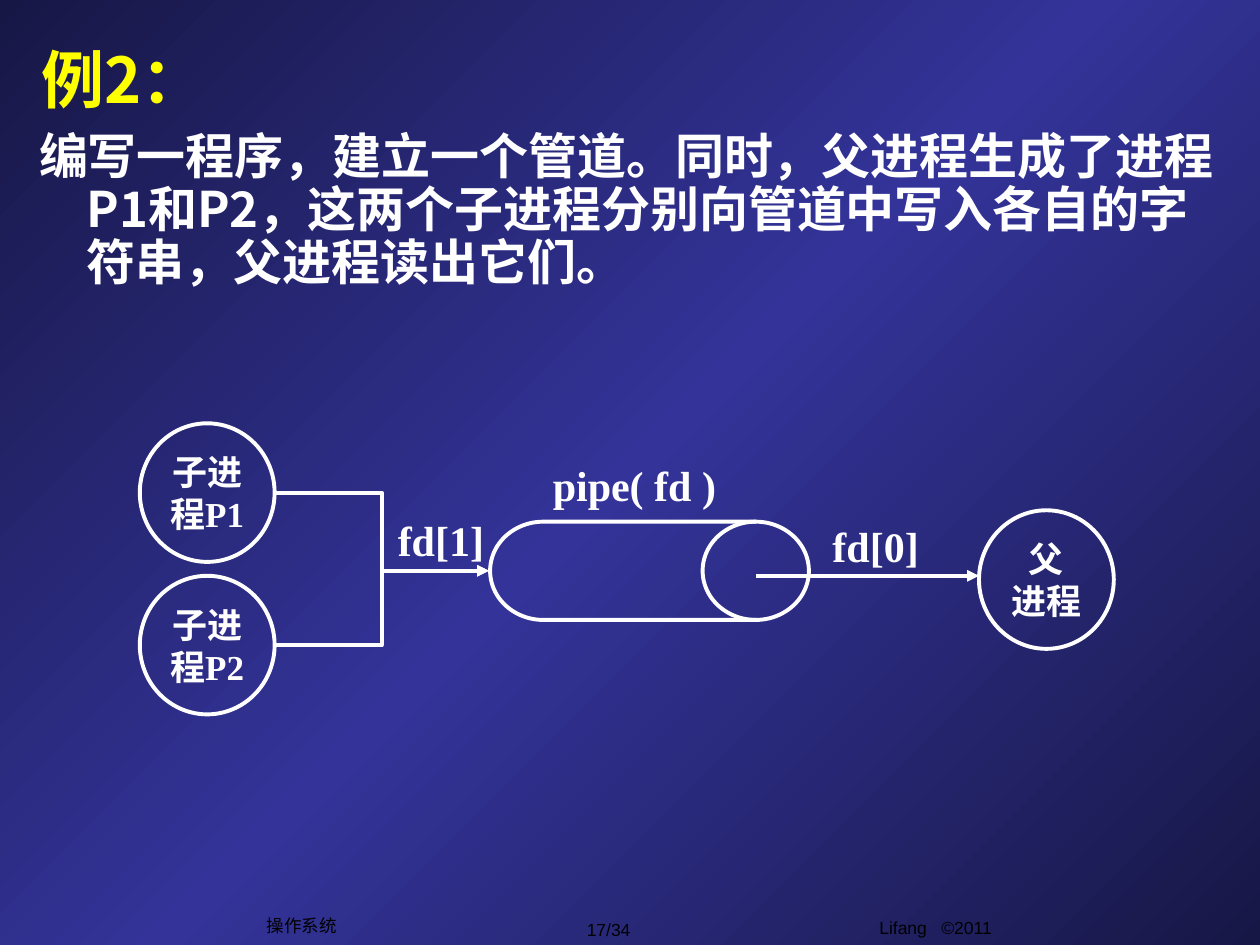
import copy
from dataclasses import dataclass

import lxml.etree
import pptx
import pptx.dml.color
import pptx.enum.shapes
import pptx.enum.text
import pptx.oxml.ns
import pptx.util

ALIGN = pptx.enum.text.PP_ALIGN
ANCHOR = pptx.enum.text.MSO_ANCHOR
SHAPE = pptx.enum.shapes.MSO_SHAPE
CONNECTOR = pptx.enum.shapes.MSO_CONNECTOR
qn = pptx.oxml.ns.qn


@dataclass(frozen=True)
class Theme:
    dark: str = "171746"
    blue: str = "333399"
    white: str = "FFFFFF"
    yellow: str = "FFFF00"
    black: str = "000000"
    chinese: str = "Noto Sans CJK SC"
    serif: str = "Times New Roman"
    sans: str = "Arial"
    title: int = 36
    body: int = 28
    label: int = 24
    node: int = 20
    footer: int = 10
    line: float = 2.25


THEME = Theme()
GRID_COLUMN = pptx.util.Inches(0.1)
GRID_ROW = pptx.util.Inches(0.1)
SLIDE_COLUMNS, SLIDE_ROWS = 100, 75


@dataclass(frozen=True)
class Box:
    left: float
    top: float
    width: float
    height: float

    def inner(self, column, row, columns, rows):
        return Box(self.left + column, self.top + row, columns, rows)

    def point(self, column, row):
        return int((self.left + column) * GRID_COLUMN), int((self.top + row) * GRID_ROW)

    def lengths(self):
        return (*self.point(0, 0), int(self.width * GRID_COLUMN), int(self.height * GRID_ROW))


def color(value):
    return pptx.dml.color.RGBColor.from_string(value)


def write_text(shape, text, size, font=THEME.serif, fill=THEME.white, bold=True,
               align=ALIGN.CENTER, anchor=ANCHOR.MIDDLE, wrap=False, spacing=1.0):
    frame = shape.text_frame
    frame.text = text
    frame.auto_size = pptx.enum.text.MSO_AUTO_SIZE.NONE
    frame.word_wrap = wrap
    frame.vertical_anchor = anchor
    frame.margin_left = frame.margin_right = pptx.util.Inches(0.1)
    frame.margin_top = frame.margin_bottom = pptx.util.Inches(0.05)
    for paragraph in frame.paragraphs:
        paragraph.alignment = align
        paragraph.line_spacing = spacing
        paragraph.space_before = pptx.util.Pt(0)
        for run in paragraph.runs:
            run.font.size = pptx.util.Pt(size)
            run.font.bold = bold
            run.font.color.rgb = color(fill)
            run.font.name = font
            properties = run._r.get_or_add_rPr()
            lxml.etree.SubElement(properties, qn("a:ea")).set("typeface", THEME.chinese)


def place(shape, box):
    shape.left, shape.top, shape.width, shape.height = box.lengths()


def add_label(shapes, box, text, size, **text_format):
    write_text(shapes.add_textbox(*box.lengths()), text, size, **text_format)


def add_outline(shapes, kind, box):
    shape = shapes.add_shape(kind, *box.lengths())
    shape.shadow.inherit = False
    shape.fill.background()
    shape.line.color.rgb = color(THEME.white)
    shape.line.width = pptx.util.Pt(THEME.line)
    return shape


def add_process(shapes, box, text):
    write_text(add_outline(shapes, SHAPE.OVAL, box), text, THEME.node)


def add_arrow(shapes, kind, start, end):
    connector = shapes.add_connector(kind, *start, *end)
    connector.line.color.rgb = color(THEME.white)
    connector.line.width = pptx.util.Pt(THEME.line)
    properties = connector._element.spPr
    line = properties.find(qn("a:ln"))
    lxml.etree.SubElement(line, qn("a:tailEnd")).set("type", "triangle")
    lxml.etree.SubElement(properties, qn("a:effectLst"))


def paint_background(slide):
    fill = slide.background.fill
    fill.gradient()
    fill.gradient_angle = 135
    stop_list = slide._element.find(".//" + qn("a:gsLst"))
    stop_list.insert(1, copy.deepcopy(stop_list[0]))
    stops = zip(fill.gradient_stops, (0, 0.5, 1), (THEME.dark, THEME.blue, THEME.dark))
    for stop, position, value in stops:
        stop.position = position
        stop.color.rgb = color(value)


def fill_heading(slide, box):
    title, body = slide.placeholders
    place(title, box.inner(0.2, 0, 85, 12.5))
    write_text(title, "例2：", THEME.title, font=THEME.chinese, fill=THEME.yellow,
               align=ALIGN.LEFT, wrap=True)
    place(body, box.inner(0, 10, 95.5, 15))
    write_text(body, "编写一程序，建立一个管道。同时，父进程生成了进程P1和P2，"
               "这两个子进程分别向管道中写入各自的字符串，父进程读出它们。",
               THEME.body, font=THEME.chinese, align=ALIGN.LEFT, anchor=ANCHOR.TOP,
               wrap=True, spacing=0.9)
    properties = body.text_frame.paragraphs[0]._p.get_or_add_pPr()
    properties.set("marL", str(pptx.util.Inches(0.38)))
    properties.set("indent", str(-pptx.util.Inches(0.38)))
    lxml.etree.SubElement(properties, qn("a:buNone"))


def draw_pipe_diagram(slide, box):
    shapes = slide.shapes.add_group_shape().shapes
    node_width, node_height = 10.7, 11
    pipe_entry = box.point(27.7, 11.7)
    add_outline(shapes, SHAPE.FLOWCHART_DIRECT_ACCESS_STORAGE, box.inner(27.8, 7.8, 25.3, 7.8))
    add_arrow(shapes, CONNECTOR.STRAIGHT, box.point(48.9, 12.1), box.point(66.6, 12.1))
    for text, column, row, columns in (("fd[1]", 19.5, 6.7, 8.8), ("fd[0]", 54, 7.2, 8.8),
                                       ("pipe( fd )", 31.8, 2.4, 14.9)):
        add_label(shapes, box.inner(column, row, columns, 5), text, THEME.label)
    for index, text in enumerate(("子进\n程P1", "子进\n程P2")):
        row = index * 12.1
        add_process(shapes, box.inner(0, row, node_width, node_height), text)
        add_arrow(shapes, CONNECTOR.ELBOW,
                  box.point(node_width, row + node_height / 2), pipe_entry)
    add_process(shapes, box.inner(66.6, 6.9, node_width, node_height), "父\n进程")


def add_footer(slide, box):
    style = {"font": THEME.sans, "fill": THEME.black, "bold": False}
    add_label(slide.shapes, box.inner(20.2, 0, 7.5, 2.7), "操作系统", THEME.footer, **style)
    add_label(slide.shapes, box.inner(43.2, 0.3, 10.2, 2.7), "17/34", THEME.footer, **style)
    add_label(slide.shapes, box.inner(58.4, 0.2, 31.7, 2.7), "Lifang   ©2011", THEME.footer,
              anchor=ANCHOR.TOP, **style)


def main():
    presentation = pptx.Presentation()
    presentation.slide_width = GRID_COLUMN * SLIDE_COLUMNS
    presentation.slide_height = GRID_ROW * SLIDE_ROWS
    slide = presentation.slides.add_slide(presentation.slide_layouts[1])
    paint_background(slide)
    add_footer(slide, Box(0, 72.1, SLIDE_COLUMNS, 2.9))
    fill_heading(slide, Box(2.1, 0, 95.5, 25))
    draw_pipe_diagram(slide, Box(11.1, 33.6, 77.3, 23.1))
    presentation.save("out.pptx")


if __name__ == "__main__":
    main()
